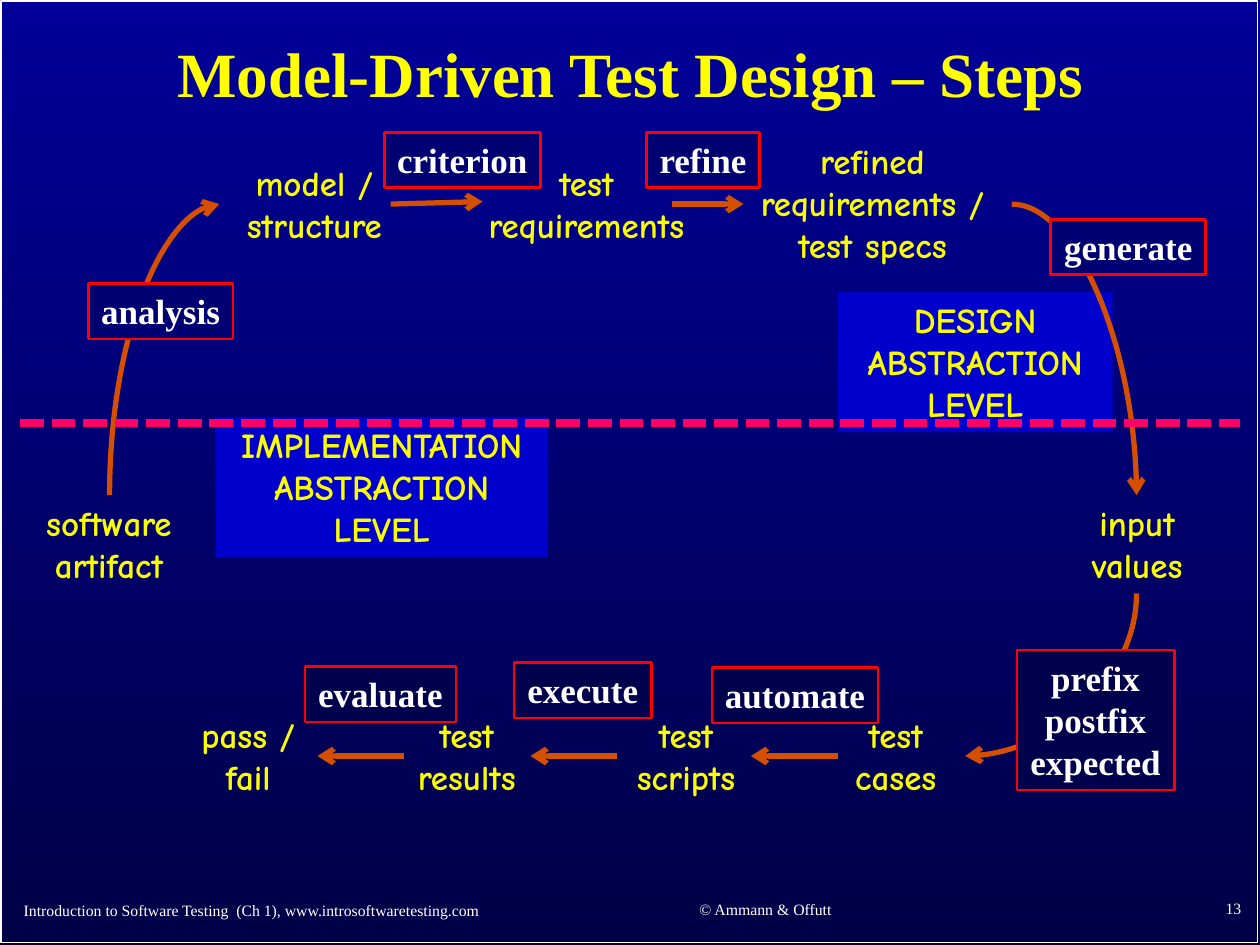
import pptx
import pptx.util
import pptx.dml.color
import pptx.enum.dml
import pptx.enum.shapes
import pptx.enum.text
import pptx.oxml
import pptx.oxml.ns

Inches = pptx.util.Inches
ALIGN = pptx.enum.text.PP_ALIGN
KIND = pptx.enum.shapes.MSO_CONNECTOR
RECT = pptx.enum.shapes.MSO_SHAPE.RECTANGLE

COLORS = {
    "top": "000099", "bottom": "000046", "frame": "FFFFFF", "title": "FFFF00",
    "word": "FAFD00", "panel": "0000CC", "arrow": "D45000", "split": "FF0066",
    "tag": "FFFFFF", "edge": "FF0000", "upper": "000073", "lower": "00004C",
}
SERIF, COMIC = "Times New Roman", "Comic Neue"

TITLE = "Model-Driven Test Design – Steps"
FOOTERS = [
    ("Introduction to Software Testing  (Ch 1), www.introsoftwaretesting.com",
     (0.09, 7.03, 4.2, 0.38), ALIGN.LEFT),
    ("© Ammann & Offutt", (4.49, 7.02, 3.17, 0.39), ALIGN.CENTER),
    ("13", (7.87, 7.01, 2.08, 0.4), ALIGN.RIGHT),
]
WORDS = [
    ("software artifact", (0.11, 3.93, 1.51, 0.77)),
    ("model / structure", (1.74, 1.23, 1.51, 0.77)),
    ("test requirements", (3.67, 1.23, 1.97, 0.77)),
    ("refined requirements / test specs", (5.82, 1.06, 2.21, 1.11)),
    ("input values", (8.27, 3.93, 1.51, 0.77)),
    ("test cases", (6.56, 5.61, 1.1, 0.77)),
    ("test scripts", (4.82, 5.61, 1.25, 0.77)),
    ("test results", (3.08, 5.61, 1.25, 0.77)),
    ("pass / fail", (1.35, 5.61, 1.24, 0.77)),
]
PANELS = [
    ("IMPLEMENTATION\nABSTRACTION\nLEVEL", (1.71, 3.31, 2.64, 1.11)),
    ("DESIGN\nABSTRACTION\nLEVEL", (6.65, 2.32, 2.18, 1.11)),
]
ARROWS = [
    ((3.1, 1.62), (3.83, 1.6)),
    ((5.33, 1.62), (5.9, 1.62)),
    ((3.21, 6), (2.52, 6)),
    ((4.9, 6), (4.21, 6)),
    ((6.65, 6), (5.96, 6)),
]
CURVES = [
    ((0.87, 3.93), (1.74, 1.62), True),
    ((9.02, 4.71), (7.66, 6), True),
    ((8.03, 1.62), (9.02, 3.93), False),
]
TAGS = [
    ("analysis", (0.7, 2.25, 1.15, 0.44), "upper"),
    ("criterion", (3.05, 1.05, 1.24, 0.44), "upper"),
    ("refine", (5.13, 1.05, 0.9, 0.44), "upper"),
    ("generate", (8.34, 1.74, 1.23, 0.44), "upper"),
    ("prefix\npostfix\nexpected", (8.07, 5.16, 1.25, 1.11), "lower"),
    ("automate", (5.65, 5.3, 1.32, 0.44), "lower"),
    ("execute", (4.08, 5.26, 1.09, 0.44), "lower"),
    ("evaluate", (2.42, 5.29, 1.2, 0.44), "lower"),
]


def rgb(name):
    return pptx.dml.color.RGBColor.from_string(COLORS[name])


def write(shape, text, font, size, color, bold=True, align=ALIGN.CENTER,
          wrap=True, middle=False):
    frame = shape.text_frame
    frame.text = text
    frame.word_wrap = wrap
    anchor = pptx.enum.text.MSO_ANCHOR
    frame.vertical_anchor = anchor.MIDDLE if middle else anchor.TOP
    for para in frame.paragraphs:
        para.alignment = align
        for run in para.runs:
            run.font.name = font
            run.font.size = pptx.util.Pt(size)
            run.font.bold = bold
            run.font.color.rgb = rgb(color)


def label(slide, box, *args, **style):
    shape = slide.shapes.add_textbox(*map(Inches, box))
    write(shape, *args, **style)
    return shape


def block(slide, box, fill=None, edge=None, width=1):
    shape = slide.shapes.add_shape(RECT, *map(Inches, box))
    shape.shadow.inherit = False
    if fill:
        shape.fill.solid()
        shape.fill.fore_color.rgb = rgb(fill)
    else:
        shape.fill.background()
    if edge:
        shape.line.color.rgb = rgb(edge)
        shape.line.width = pptx.util.Pt(width)
    else:
        shape.line.fill.background()
    return shape


def add(parent, tag, **attrs):
    item = pptx.oxml.parse_xml(f"<{tag} {pptx.oxml.ns.nsdecls('a')}/>")
    for key, value in attrs.items():
        item.set(key, value)
    parent.append(item)


def link(slide, start, end, color, width, kind=KIND.STRAIGHT, head=True):
    line = slide.shapes.add_connector(kind, *map(Inches, start + end))
    line.line.color.rgb = rgb(color)
    line.line.width = pptx.util.Pt(width)
    if head:
        add(line.line._get_or_add_ln(), "a:tailEnd", type="arrow")
    add(line._element.spPr, "a:effectLst")
    return line


def curve(slide, start, end, turned):
    if turned:
        midx, midy = (start[0] + end[0]) / 2, (start[1] + end[1]) / 2
        start, end = [(midx + y - midy, midy - x + midx)
                      for x, y in (start, end)]
    line = link(slide, start, end, "arrow", 3, KIND.CURVE)
    props = line._element.spPr
    props.find(pptx.oxml.ns.qn("a:prstGeom")).set("prst", "curvedConnector2")
    if turned:
        props.find(pptx.oxml.ns.qn("a:xfrm")).set("rot", "5400000")


def main():
    deck = pptx.Presentation()
    deck.slide_width, deck.slide_height = Inches(10), Inches(7.5)
    slide = deck.slides.add_slide(deck.slide_layouts[6])
    back = slide.background.fill
    back.gradient()
    back.gradient_angle = 270
    for stop, name in zip(back.gradient_stops, ("top", "bottom")):
        stop.color.rgb = rgb(name)

    block(slide, (0.01, 0.01, 9.97, 7.47), edge="frame")
    title = label(slide, (0.1, 0.11, 9.81, 1), TITLE, SERIF, 36, "title",
                  middle=True)
    title.text_frame.paragraphs[0].line_spacing = 0.9
    for text, box, align in FOOTERS:
        label(slide, box, text, SERIF, 9, "frame", bold=False, align=align,
              middle=True)
    for text, box in WORDS:
        label(slide, box, text, COMIC, 20, "word")
    for text, box in PANELS:
        write(block(slide, box, "panel"), text, COMIC, 20, "word", wrap=False)
    for start, end in ARROWS:
        link(slide, start, end, "arrow", 3)
    for start, end, turned in CURVES:
        curve(slide, start, end, turned)
    split = link(slide, (0.16, 3.36), (9.84, 3.36), "split", 4.5, head=False)
    split.line.dash_style = pptx.enum.dml.MSO_LINE.SQUARE_DOT
    for text, box, fill in TAGS:
        write(block(slide, box, fill, "edge", 1.5), text, SERIF, 20, "tag",
              wrap=False)
    deck.save("out.pptx")


if __name__ == "__main__":
    main()
